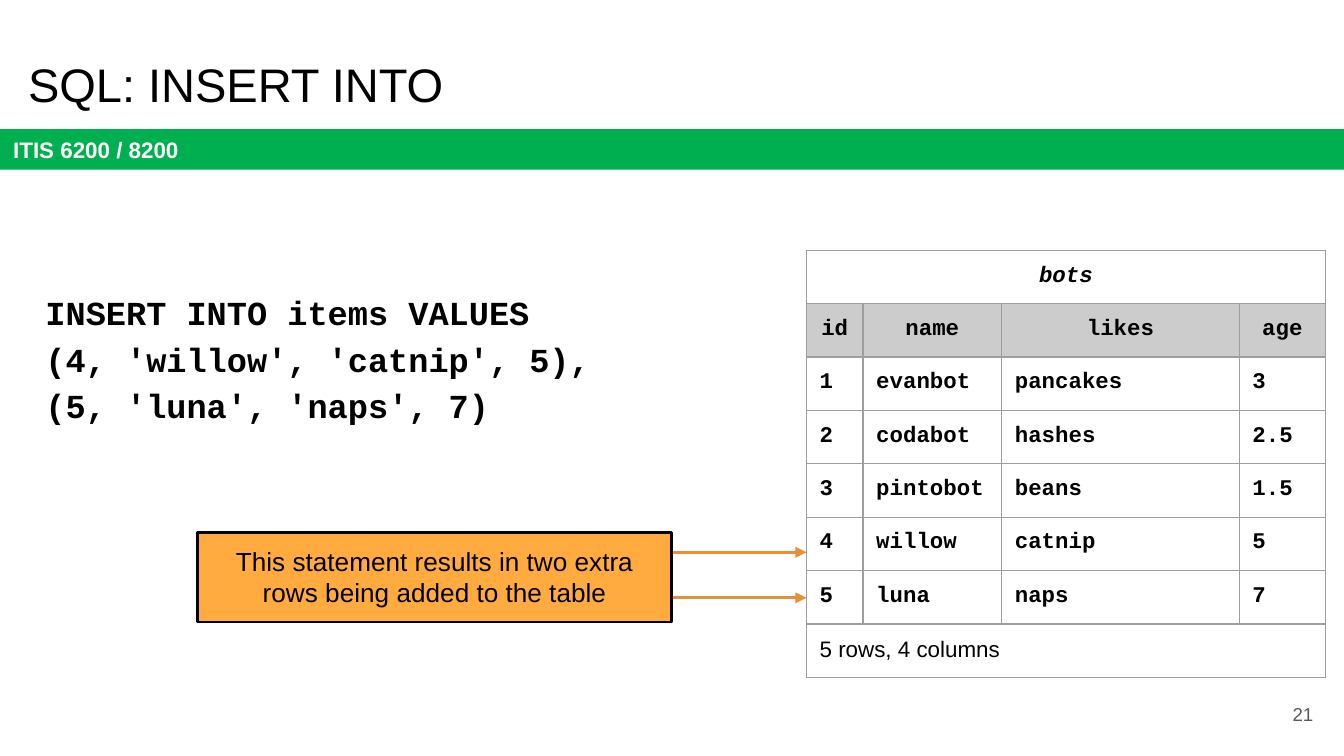
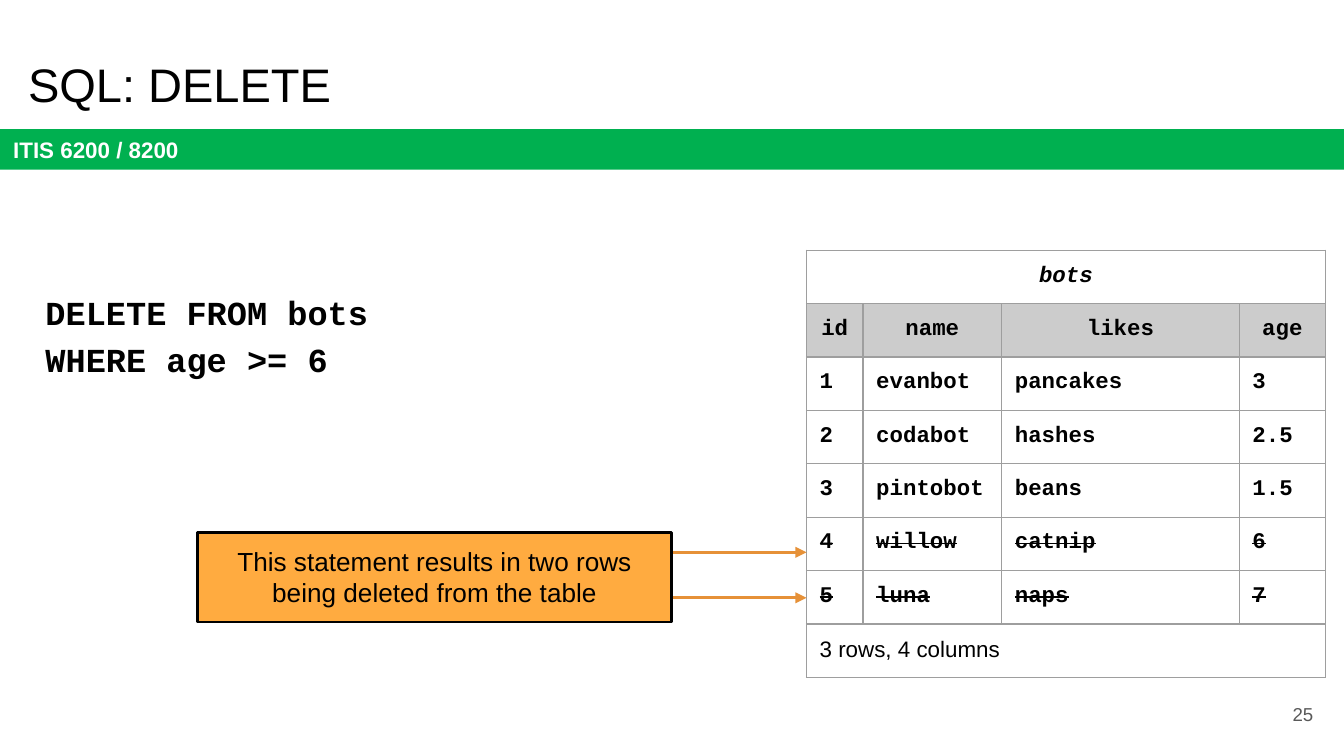
from lxml import etree
from pptx import Presentation
from pptx.dml.color import RGBColor
from pptx.enum import shapes, text
from pptx.oxml import ns
from pptx.util import Cm, Pt

GREEN = RGBColor(0x00, 0xB0, 0x50)
WHITE = RGBColor(0xFF, 0xFF, 0xFF)
BLACK = RGBColor(0x00, 0x00, 0x00)
GREY = RGBColor(0x59, 0x59, 0x59)
HEADER = RGBColor(0xCC, 0xCC, 0xCC)
BORDER = RGBColor(0x9E, 0x9E, 0x9E)
AMBER = RGBColor(0xFF, 0xAB, 0x40)
ARROW = RGBColor(0xE6, 0x91, 0x38)

SANS, MONO = "Arial", "Courier New"
WIDTH, HEIGHT = 25.4, 14.29
INSET = Cm(0.25)
LEFT, CENTER, RIGHT = text.PP_ALIGN.LEFT, text.PP_ALIGN.CENTER, text.PP_ALIGN.RIGHT
TOP, MIDDLE, BOTTOM = text.MSO_ANCHOR.TOP, text.MSO_ANCHOR.MIDDLE, text.MSO_ANCHOR.BOTTOM

COLUMN_WIDTHS = (1.07, 2.62, 4.49, 1.63)
ROW_HEIGHT = 0.99
COLUMNS = ("id", "name", "likes", "age")
FIRST_BOTS = [
    ("1", "evanbot", "pancakes", "3"),
    ("2", "codabot", "hashes", "2.5"),
    ("3", "pintobot", "beans", "1.5"),
]


def add_xml(parent, tag, **attributes):
    return etree.SubElement(parent, ns.qn(tag), attributes)


class Deck:
    def __init__(self):
        self.prs = Presentation()
        self.prs.slide_width, self.prs.slide_height = Cm(WIDTH), Cm(HEIGHT)
        self.slide = None

    def set_text(self, tf, words, size, color=BLACK, font=SANS, bold=False,
                 italic=False, align=LEFT, anchor=TOP):
        tf.text = words
        tf.word_wrap = True
        tf.vertical_anchor = anchor
        tf.margin_left = tf.margin_right = tf.margin_top = tf.margin_bottom = INSET
        p = tf.paragraphs[0]
        p.alignment = align
        for r in p.runs:
            r.font.size, r.font.name, r.font.color.rgb = Pt(size), font, color
            r.font.bold, r.font.italic = bold, italic
        return p

    def start(self, title, number):
        self.slide = self.prs.slides.add_slide(self.prs.slide_layouts[5])
        # Title
        sp = self.slide.shapes.title
        sp.left, sp.top, sp.width, sp.height = Cm(0.28), Cm(0.76), Cm(23.67), Cm(1.6)
        sp.text_frame.auto_size = text.MSO_AUTO_SIZE.NONE
        self.set_text(sp.text_frame, title, 25.2, anchor=BOTTOM)
        # Course band
        sp = self.box(0, 2.44, WIDTH, 0.77, GREEN)
        self.set_text(sp.text_frame, "ITIS 6200 / 8200", 12, WHITE, bold=True, anchor=MIDDLE)
        # Page number
        sp = self.slide.shapes.add_textbox(Cm(23.55), Cm(12.95), Cm(1.52), Cm(1.09))
        self.set_text(sp.text_frame, str(number), 10, GREY, align=RIGHT, anchor=MIDDLE)

    def box(self, x, y, w, h, fill, line=None):
        sp = self.slide.shapes.add_shape(
            shapes.MSO_SHAPE.RECTANGLE, Cm(x), Cm(y), Cm(w), Cm(h))
        sp.shadow.inherit = False
        sp.fill.solid()
        sp.fill.fore_color.rgb = fill
        if line is None:
            sp.line.fill.background()
        else:
            sp.line.color.rgb, sp.line.width = line, Pt(1.5)
        return sp

    def code(self, lines):
        sp = self.slide.shapes.add_textbox(
            Cm(0.61), Cm(5.16), Cm(12.24), Cm(0.4 + 0.88 * len(lines)))
        p = self.set_text(sp.text_frame, "\v".join(lines), 18, font=MONO, bold=True)
        p.line_spacing, p.space_after = 1.15, Pt(12)
        for br in p._p.findall(ns.qn("a:br")):
            add_xml(add_xml(br, "a:rPr", sz="1800"), "a:latin", typeface=SANS)

    def arrow(self, x1, x2, y):
        line = self.slide.shapes.add_connector(
            shapes.MSO_CONNECTOR.STRAIGHT, Cm(x1), Cm(y), Cm(x2), Cm(y))
        line.line.color.rgb, line.line.width = ARROW, Pt(1.5)
        add_xml(line.line._get_or_add_ln(), "a:tailEnd", type="triangle")
        add_xml(line._element.spPr, "a:effectLst")

    def callout(self, words):
        for y in (10.44, 11.3):
            self.arrow(12.5, 15.24, y)
        sp = self.box(3.73, 10.06, 8.97, 1.7, AMBER, BLACK)
        self.set_text(sp.text_frame, words, 14, align=CENTER)

    def cell(self, cell, words, fill=None, struck=False, font=MONO, bold=True, **style):
        p = self.set_text(cell.text_frame, words, 12, font=font, bold=bold, **style)
        cell.margin_left = cell.margin_right = INSET
        cell.margin_top = cell.margin_bottom = INSET
        if struck:
            for r in p.runs:
                r._r.get_or_add_rPr().set("strike", "sngStrike")
        self.paint(cell, fill)

    def paint(self, cell, fill=None):
        tcPr = cell._tc.get_or_add_tcPr()
        for side in ("a:lnL", "a:lnR", "a:lnT", "a:lnB"):
            ln = add_xml(tcPr, side, w=str(Pt(0.75)))
            add_xml(add_xml(ln, "a:solidFill"), "a:srgbClr", val=str(BORDER))
        if fill is None:
            cell.fill.background()
        else:
            cell.fill.solid()
            cell.fill.fore_color.rgb = fill

    def bots_table(self, new_bots, summary, struck=False):
        bots = FIRST_BOTS + new_bots
        last = len(bots) + 2
        table = self.slide.shapes.add_table(
            last + 1, len(COLUMNS), Cm(15.24), Cm(4.73),
            Cm(sum(COLUMN_WIDTHS)), Cm(ROW_HEIGHT * (last + 1))).table
        table.first_row = table.horz_banding = False
        for column, width in zip(table.columns, COLUMN_WIDTHS):
            column.width = Cm(width)
        for row in table.rows:
            row.height = Cm(ROW_HEIGHT)
        # Name and summary span the whole width
        for i in (0, last):
            table.cell(i, 0).merge(table.cell(i, len(COLUMNS) - 1))
            for j in range(1, len(COLUMNS)):
                self.paint(table.cell(i, j))
        self.cell(table.cell(0, 0), "bots", italic=True, align=CENTER)
        self.cell(table.cell(last, 0), summary, font=SANS, bold=False)
        # Header and data rows
        for j, name in enumerate(COLUMNS):
            self.cell(table.cell(1, j), name, HEADER, align=CENTER)
        for i, bot in enumerate(bots):
            for j, value in enumerate(bot):
                self.cell(table.cell(i + 2, j), value,
                          struck=struck and i >= len(FIRST_BOTS))


def main():
    deck = Deck()

    # Inserting rows
    deck.start("SQL: INSERT INTO", 21)
    deck.bots_table([("4", "willow", "catnip", "5"), ("5", "luna", "naps", "7")],
                    "5 rows, 4 columns")
    deck.code(["INSERT INTO items VALUES",
               "(4, 'willow', 'catnip', 5),",
               "(5, 'luna', 'naps', 7)"])
    deck.callout("This statement results in two extra rows being added to the table")

    # Deleting rows
    deck.start("SQL: DELETE", 25)
    deck.bots_table([("4", "willow", "catnip", "6"), ("5", "luna", "naps", "7")],
                    "3 rows, 4 columns", struck=True)
    deck.code(["DELETE FROM bots", "WHERE age >= 6"])
    deck.callout("This statement results in two rows being deleted from the table")

    deck.prs.save("out.pptx")


if __name__ == "__main__":
    main()
